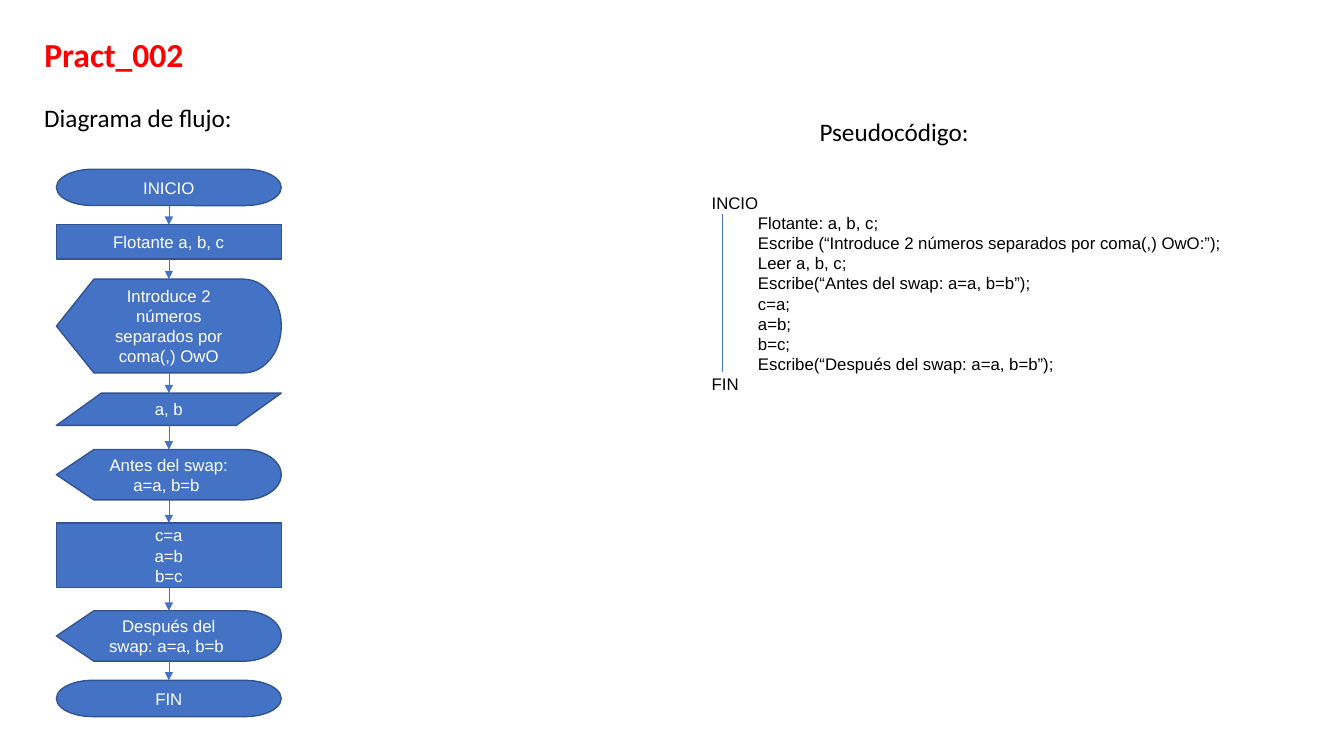
import pptx
import pptx.util
import pptx.dml.color
import pptx.enum.shapes
import pptx.enum.text
import pptx.oxml
import pptx.oxml.ns

SHAPE = pptx.enum.shapes.MSO_SHAPE
ALIGN = pptx.enum.text.PP_ALIGN
ANCHOR = pptx.enum.text.MSO_ANCHOR

TITLE = "Pract_002"
HEADINGS = [("Diagrama de flujo:", 0.34, 0.97), ("Pseudocódigo:", 8.03, 1.1)]

# kind of step, lines, height, gap to the next step
STEPS = [
    (SHAPE.FLOWCHART_TERMINATOR, ["INICIO"], 0.36, 0.19),
    (SHAPE.RECTANGLE, ["Flotante a, b, c"], 0.34, 0.2),
    (SHAPE.FLOWCHART_DISPLAY, ["Introduce 2 números separados por coma(,) OwO"], 0.93, 0.2),
    (SHAPE.FLOWCHART_DATA, ["a, b"], 0.32, 0.24),
    (SHAPE.FLOWCHART_DISPLAY, ["Antes del swap: a=a, b=b "], 0.5, 0.23),
    (SHAPE.RECTANGLE, ["c=a", "a=b", "b=c"], 0.64, 0.23),
    (SHAPE.FLOWCHART_DISPLAY, ["Después del swap: a=a, b=b "], 0.5, 0.19),
    (SHAPE.FLOWCHART_TERMINATOR, ["FIN"], 0.36, 0),
]

PSEUDOCODE_BODY = [
    "Flotante: a, b, c;",
    "Escribe (“Introduce 2 números separados por coma(,) OwO:”);",
    "Leer a, b, c;",
    "Escribe(“Antes del swap: a=a, b=b”);",
    "c=a;",
    "a=b;",
    "b=c;",
    "Escribe(“Después del swap: a=a, b=b”);",
]
PSEUDOCODE = [("INCIO", 0)] + [(line, 0.46) for line in PSEUDOCODE_BODY] + [("FIN", 0)]

FLOW_LEFT, FLOW_TOP, FLOW_WIDTH = 0.56, 1.68, 2.23
BLUE, DARK_BLUE = "4472C4", "325491"


def inches(*lengths):
    return [pptx.util.Inches(length) for length in lengths]


def color(hex_string):
    return pptx.dml.color.RGBColor.from_string(hex_string)


def write(shape, lines, size=12, font="Arial", ink="000000", bold=False,
          align=ALIGN.LEFT, anchor=ANCHOR.TOP):
    """Fill a shape with lines, each a string or a (string, indent) pair."""
    frame = shape.text_frame
    frame.word_wrap = True
    frame.auto_size = pptx.enum.text.MSO_AUTO_SIZE.NONE
    frame.vertical_anchor = anchor
    for number, line in enumerate(lines):
        words, indent = line if isinstance(line, tuple) else (line, 0)
        para = frame.add_paragraph() if number else frame.paragraphs[0]
        para.alignment = align
        if indent:
            para._p.get_or_add_pPr().set("marL", str(pptx.util.Inches(indent)))
        span = para.add_run()
        span.text = words
        span.font.size = pptx.util.Pt(size)
        span.font.name = font
        span.font.bold = bold
        span.font.color.rgb = color(ink)


def add_text(page, place, lines, **style):
    write(page.shapes.add_textbox(*inches(*place)), lines, **style)


def add_step(page, kind, lines, top, height):
    box = page.shapes.add_shape(kind, *inches(FLOW_LEFT, top, FLOW_WIDTH, height))
    box.shadow.inherit = False
    box.fill.solid()
    box.fill.fore_color.rgb = color(BLUE)
    box.line.color.rgb = color(DARK_BLUE)
    box.line.width = pptx.util.Pt(1)
    write(box, lines, ink="FFFFFF", align=ALIGN.CENTER, anchor=ANCHOR.MIDDLE)


def add_vertical_line(page, x, top, bottom, arrow=False):
    line = page.shapes.add_connector(
        pptx.enum.shapes.MSO_CONNECTOR.STRAIGHT, *inches(x, top, x, bottom))
    line.line.color.rgb = color(BLUE)
    line.line.width = pptx.util.Pt(0.5)
    properties = line._element.spPr
    if arrow:
        head = pptx.oxml.parse_xml(
            f'<a:tailEnd {pptx.oxml.ns.nsdecls("a")} type="triangle"/>')
        properties.find(pptx.oxml.ns.qn("a:ln")).append(head)
    properties.append(pptx.oxml.parse_xml(
        f'<a:effectLst {pptx.oxml.ns.nsdecls("a")}/>'))


def main():
    deck = pptx.Presentation()
    deck.slide_width, deck.slide_height = inches(13.33, 7.5)
    page = deck.slides.add_slide(deck.slide_layouts.get_by_name("Title Only"))

    title = page.shapes.title
    title.left, title.top, title.width, title.height = inches(0.34, 0.29, 3.4, 0.5)
    write(title, [TITLE], size=24, font="Calibri", ink="FF0000", bold=True)
    for heading, left, top in HEADINGS:
        add_text(page, (left, top, 4.47, 0.4), [heading], size=18, font="Calibri")

    top = FLOW_TOP
    for kind, lines, height, gap in STEPS:
        add_step(page, kind, lines, top, height)
        bottom = top + height
        top = bottom + gap
        if gap:
            add_vertical_line(page, FLOW_LEFT + FLOW_WIDTH / 2, bottom, top, arrow=True)

    add_text(page, (6.96, 1.86, 7.77, 2.12), PSEUDOCODE)
    add_vertical_line(page, 7.16, 2.12, 3.69)
    deck.save("out.pptx")


if __name__ == "__main__":
    main()
